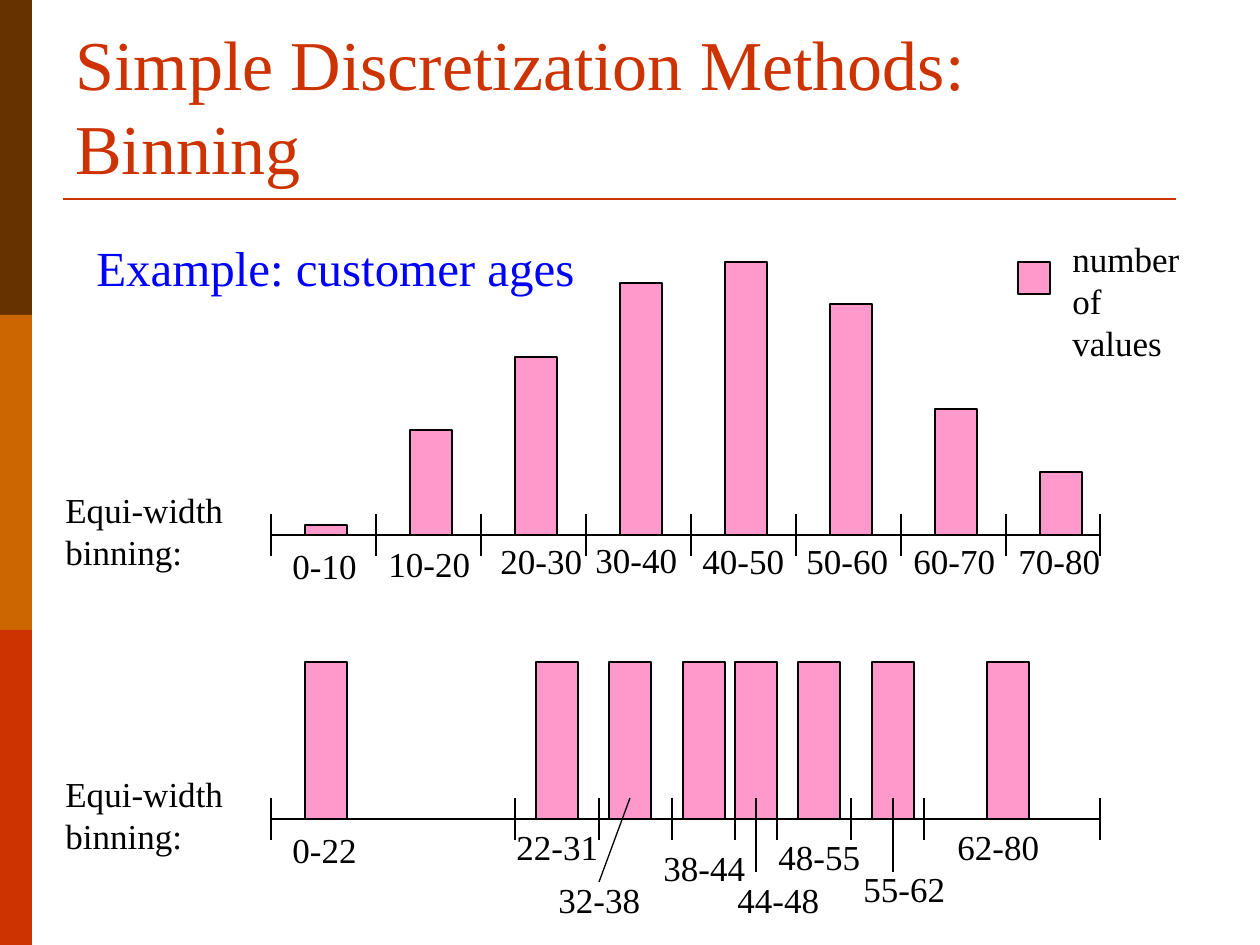
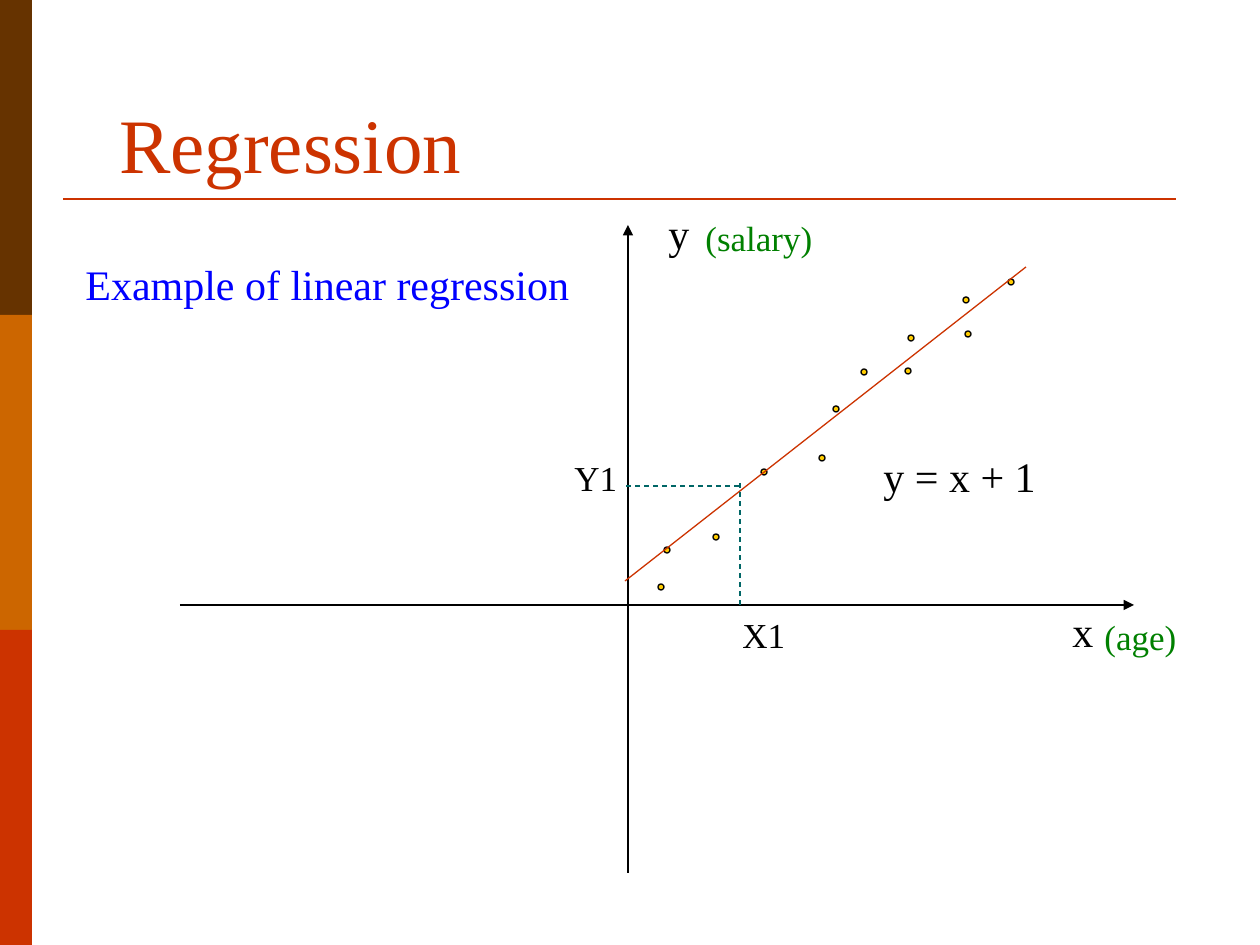
from dataclasses import dataclass

from lxml import etree
from pptx import Presentation
from pptx.dml.color import RGBColor as RGB
from pptx.enum.dml import MSO_LINE_DASH_STYLE as DASH
from pptx.enum.shapes import MSO_CONNECTOR as CONN, MSO_SHAPE as SHAPE
from pptx.enum.text import MSO_ANCHOR as ANCHOR, MSO_AUTO_SIZE as FIT
from pptx.oxml.ns import qn
from pptx.util import Emu, Pt

PX_PER_INCH = 126


@dataclass(frozen=True)
class Theme:
    font: str = "Times New Roman"
    ink: str = "000000"
    title: str = "CC3300"
    heading: str = "0000FF"
    unit: str = "008000"
    guide: str = "006666"
    bar: str = "FF99CC"
    dot: str = "FFCC00"
    bands: tuple = ("663300", "CC6600", "CC3300")
    title_size: int = 40
    big_title_size: int = 44
    heading_size: int = 28
    math_size: int = 24
    label_size: int = 20
    thin: float = 0.75
    rule: float = 1.5


T = Theme()


def px(n):
    return Emu(round(n * 914400 / PX_PER_INCH))


# Element helpers
def add_text(slide, text, x, y, w, h, size=T.label_size, color=T.ink,
             wrap=False, anchor=ANCHOR.TOP, fit=FIT.SHAPE_TO_FIT_TEXT):
    tf = slide.shapes.add_textbox(px(x), px(y), px(w), px(h)).text_frame
    tf.word_wrap = wrap
    tf.auto_size = fit
    tf.vertical_anchor = anchor
    p = tf.paragraphs[0]
    p.text = text
    for r in p.runs:
        r.font.name = T.font
        r.font.size = Pt(size)
        r.font.color.rgb = RGB.from_string(color)


def add_shape(slide, x, y, w, h, fill, kind=SHAPE.RECTANGLE, outline=T.ink):
    sp = slide.shapes.add_shape(kind, px(x), px(y), px(w), px(h))
    sp.shadow.inherit = False
    sp.fill.solid()
    sp.fill.fore_color.rgb = RGB.from_string(fill)
    if outline:
        sp.line.color.rgb = RGB.from_string(outline)
        sp.line.width = Pt(T.thin)
    else:
        sp.line.fill.background()


def add_line(slide, x1, y1, x2, y2, color=T.ink, width=T.thin,
             dash=None, arrow=False):
    cx = slide.shapes.add_connector(CONN.STRAIGHT, px(x1), px(y1), px(x2), px(y2))
    cx.line.color.rgb = RGB.from_string(color)
    cx.line.width = Pt(width)
    if dash:
        cx.line.dash_style = dash
    if arrow:
        etree.SubElement(cx.line._get_or_add_ln(), qn("a:tailEnd"), type="triangle")
    etree.SubElement(cx._element.spPr, qn("a:effectLst"))


def add_slide(prs, title, x, w, size):
    slide = prs.slides.add_slide(prs.slide_layouts[6])
    for i, color in enumerate(T.bands):
        add_shape(slide, 0, 315 * i, 32, 315, color, outline=None)
    add_line(slide, 63, 199, 1176, 199, color=T.title, width=T.rule)
    add_text(slide, title, x, 38, w, 157, size=size, color=T.title,
             wrap=True, anchor=ANCHOR.BOTTOM, fit=FIT.NONE)
    return slide


def add_histogram(slide, base, ticks, bars, labels):
    """Draw one axis with ticks, (left, height) bars and (text, left, top) labels."""
    add_line(slide, 271, base, 1100, base)
    for x in (271, *ticks, 1100):
        add_line(slide, x, base - 21, x, base + 21)
    add_text(slide, "Equi-width binning:", 53, base - 53, 210, 97, wrap=True)
    for text, x, y in labels:
        add_text(slide, text, x, y, 107, 54)
    for x, height in bars:
        add_shape(slide, x, base - height, 42, height, T.bar)


# Slides
def binning_slide(prs):
    slide = add_slide(prs, "Simple Discretization Methods: Binning", 63, 1134,
                      T.title_size)
    add_text(slide, "Example: customer ages", 84, 231, 504, 72,
             size=T.heading_size, color=T.heading)

    # Bins of equal width
    step = 105
    heights = (10, 105, 178, 252, 273, 231, 126, 63)
    spots = ((280, 538), (376, 536), (488, 533), (583, 532),
             (690, 533), (794, 533), (901, 533), (1006, 533))
    add_histogram(
        slide, 535,
        ticks=[376 + step * i for i in range(7)],
        bars=[(305 + step * i, h) for i, h in enumerate(heights)],
        labels=[(f"{10 * i}-{10 * i + 10}", x, y) for i, (x, y) in enumerate(spots)])

    # Legend
    add_shape(slide, 1018, 262, 32, 32, T.bar)
    add_text(slide, "number\vof values", 1060, 231, 152, 97)

    # Bins of equal count
    add_histogram(
        slide, 819,
        ticks=(515, 599, 672, 735, 777, 851, 924),
        bars=[(x, 157) for x in (305, 536, 609, 683, 735, 798, 872, 987)],
        labels=(("0-22", 280, 822), ("22-31", 504, 819), ("32-38", 546, 872),
                ("38-44", 651, 840), ("44-48", 725, 872), ("48-55", 766, 829),
                ("55-62", 851, 861), ("62-80", 945, 819)))

    # Leaders from bars to lowered labels
    for x1, y1, x2 in ((599, 882, 630), (756, 872, 756), (893, 872, 893)):
        add_line(slide, x1, y1, x2, 798)


def regression_slide(prs):
    slide = add_slide(prs, "Regression", 107, 698, T.big_title_size)

    # Axes
    add_line(slide, 180, 605, 1134, 605, arrow=True)
    add_line(slide, 628, 873, 628, 225, arrow=True)

    # Observations and fitted line
    dots = ((658, 584), (664, 547), (713, 534), (761, 469), (819, 455), (833, 406),
            (861, 369), (905, 368), (908, 335), (963, 297), (965, 331), (1008, 279))
    for x, y in dots:
        add_shape(slide, x, y, 6, 6, T.dot, kind=SHAPE.OVAL)
    add_line(slide, 625, 581, 1026, 267, color=T.title)

    # Guides to X1 and Y1
    add_line(slide, 740, 483, 740, 607, color=T.guide, dash=DASH.DASH)
    add_line(slide, 739, 486, 626, 486, color=T.guide, dash=DASH.DASH)

    # Labels
    for text, x, y, w in (("x", 1060, 599, 45), ("y", 656, 201, 45),
                          ("y = x + 1", 871, 444, 178)):
        add_text(slide, text, x, y, w, 63, size=T.math_size)
    for text, x, y, w, color in (("X1", 730, 607, 68, T.ink),
                                 ("Y1", 562, 450, 68, T.ink),
                                 ("(salary)", 693, 210, 132, T.unit),
                                 ("(age)", 1092, 609, 97, T.unit)):
        add_text(slide, text, x, y, w, 55, color=color)
    add_text(slide, "Example of linear regression", 73, 252, 509, 63,
             size=T.math_size, color=T.heading)


def main():
    prs = Presentation()
    prs.slide_width, prs.slide_height = px(1260), px(945)
    binning_slide(prs)
    regression_slide(prs)
    prs.save("out.pptx")


if __name__ == "__main__":
    main()
